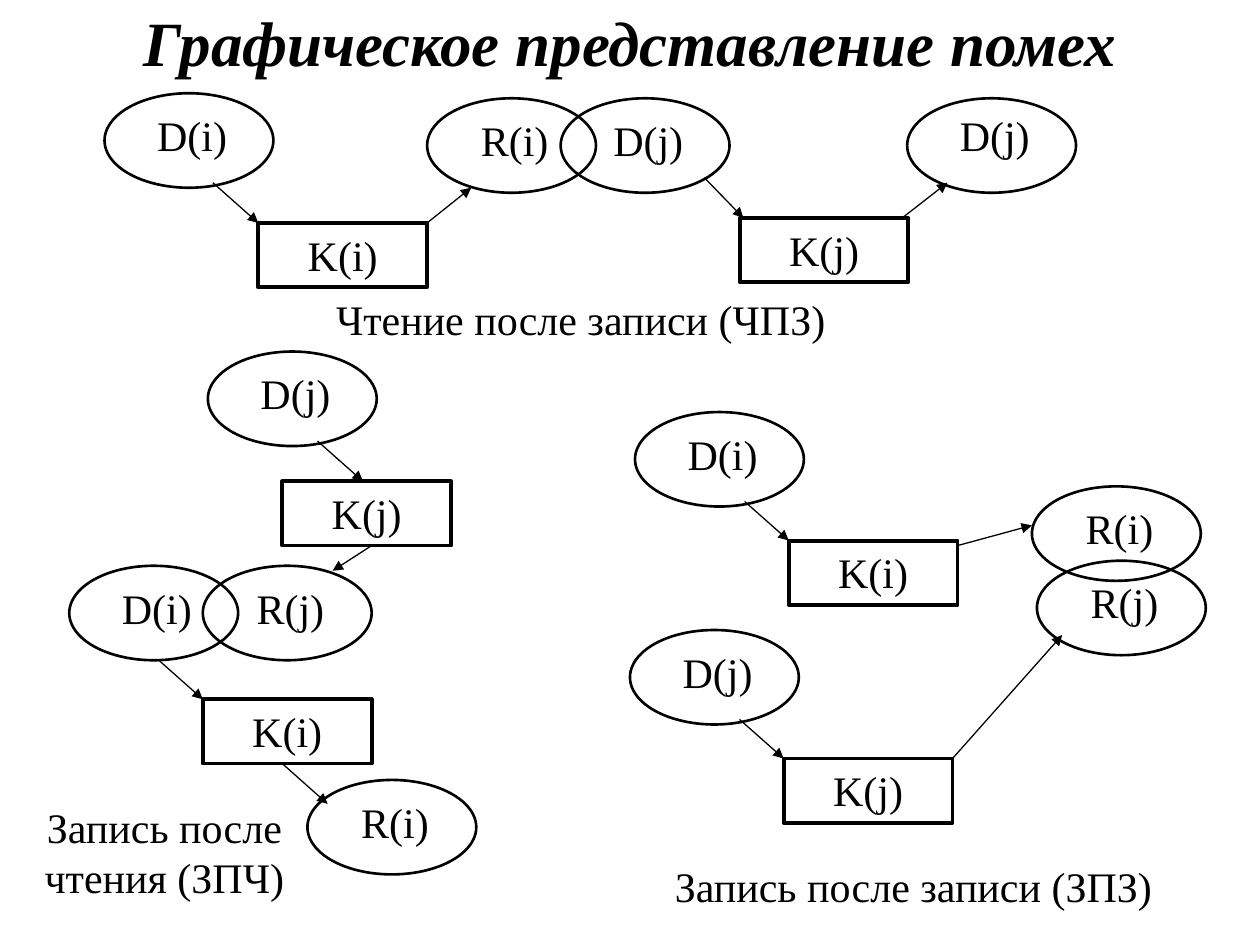
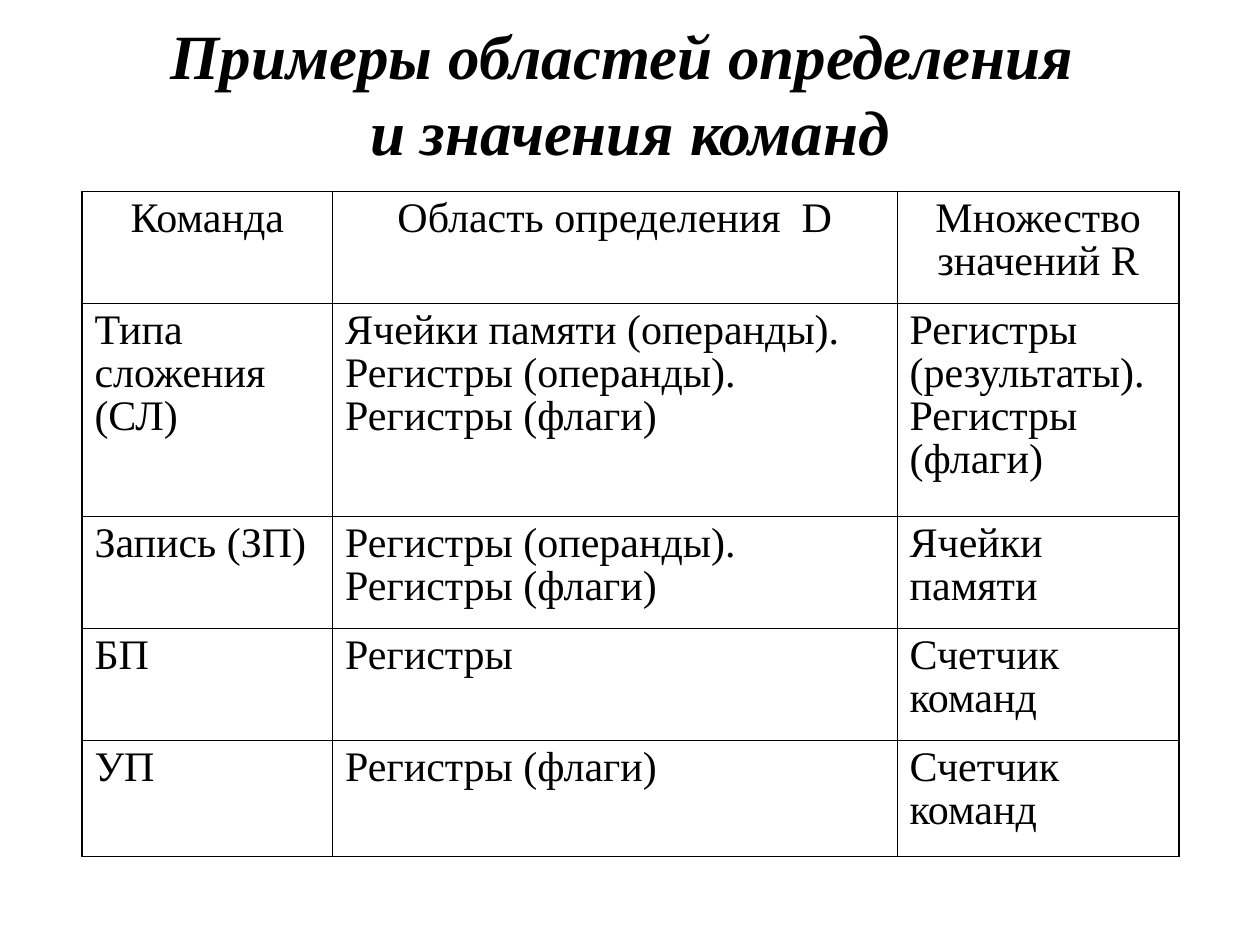
from lxml import etree
from pptx import Presentation
from pptx.dml.color import RGBColor
from pptx.enum.shapes import MSO_CONNECTOR, MSO_SHAPE
from pptx.enum.text import MSO_ANCHOR, PP_ALIGN
from pptx.oxml.ns import qn
from pptx.util import Inches, Pt

FONT = "Times New Roman"
INK = "000000"
PAPER = "FFFFFF"
NODE_W = 1.34
OVAL_H, BLOCK_H = 0.75, 0.51
LABEL_DX, LABEL_DY = 0.24, 0.08
OUTER, INNER = 1.08, 0.45


def color(value):
    return RGBColor.from_string(value)


# Shared text and drawing helpers
def write(tf, text, size=24, heading=False, align=PP_ALIGN.CENTER, spacing=None):
    p = tf.paragraphs[0]
    p.alignment = align
    p.line_spacing = spacing
    for i, line in enumerate(text.split("\n")):
        if i:
            p.add_line_break()
        r = p.add_run()
        r.text = line
        r.font.name = FONT
        r.font.size = Pt(size)
        r.font.bold = r.font.italic = heading
        r.font.color.rgb = color(INK)


def add_text(s, x, y, w, h, text, anchor=MSO_ANCHOR.TOP, **style):
    tf = s.shapes.add_textbox(Inches(x), Inches(y), Inches(w), Inches(h)).text_frame
    tf.word_wrap = True
    tf.vertical_anchor = anchor
    write(tf, text, **style)


def add_title(s, y, h, text):
    add_text(s, 0, y, 10, h, text, MSO_ANCHOR.MIDDLE, size=36, heading=True)


def add_outline(s, kind, x, y, h, width):
    sp = s.shapes.add_shape(kind, Inches(x), Inches(y), Inches(NODE_W), Inches(h))
    sp.shadow.inherit = False
    sp.fill.background()
    sp.line.color.rgb = color(INK)
    sp.line.width = Pt(width)
    return sp


def add_oval(s, x, y, text, label_dy=LABEL_DY):
    add_text(s, x + LABEL_DX, y + label_dy, 0.91, 0.55, text)
    add_outline(s, MSO_SHAPE.OVAL, x, y, OVAL_H, 1.5)


def add_block(s, x, y, text):
    tf = add_outline(s, MSO_SHAPE.RECTANGLE, x, y, BLOCK_H, 2.25).text_frame
    tf.vertical_anchor = MSO_ANCHOR.TOP
    write(tf, text)


def add_arrow(s, x1, y1, x2, y2):
    cn = s.shapes.add_connector(MSO_CONNECTOR.STRAIGHT, Inches(x1), Inches(y1),
                                Inches(x2), Inches(y2))
    cn.line.color.rgb = color(INK)
    cn.line.width = Pt(0.75)
    etree.SubElement(cn.line._get_or_add_ln(), qn("a:tailEnd"), type="triangle")
    etree.SubElement(cn._element.spPr, qn("a:effectLst"))


def draw_graph(s, x, y, ovals, blocks, arrows, caption):
    """Draw a hazard graph; all positions are relative to its corner x, y."""
    for dx, dy, *label in ovals:
        add_oval(s, x + dx, y + dy, *label)
    for dx, dy, text in blocks:
        add_block(s, x + dx, y + dy, text)
    for x1, y1, x2, y2 in arrows:
        add_arrow(s, x + x1, y + y1, x + x2, y + y2)
    dx, dy, w, h, text = caption
    add_text(s, x + dx, y + dy, w, h, text)


# The three hazards
def read_after_write(s, x, y):
    draw_graph(
        s, x, y,
        ovals=[(0, 0, "D(i)"), (2.56, 0.04, "R(i)"), (3.62, 0.04, "D(j)"),
               (6.37, 0.04, "D(j)", 0.04)],
        blocks=[(1.22, 1.03, "K(i)"), (5.04, 0.99, "K(j)")],
        arrows=[(0.86, 0.71, 1.22, 1.03), (2.56, 1.03, 2.91, 0.75),
                (4.76, 0.67, 5.07, 0.99), (6.33, 0.99, 6.69, 0.71)],
        caption=(1.18, 1.54, 5.2, 0.55, "Чтение после записи (ЧПЗ)"))


def write_after_read(s, x, y):
    draw_graph(
        s, x, y,
        ovals=[(1.45, 0, "D(j)"), (0.35, 1.7, "D(i)"), (1.41, 1.7, "R(j)"),
               (2.24, 3.4, "R(i)")],
        blocks=[(2.04, 1.03, "K(j)"), (1.41, 2.76, "K(i)")],
        arrows=[(2.32, 0.71, 2.68, 1.03), (2.75, 1.54, 2.44, 1.74),
                (1.06, 2.45, 1.41, 2.76), (2.04, 3.27, 2.4, 3.59)],
        caption=(0, 3.52, 2.21, 0.98, "Запись после чтения (ЗПЧ)"))


def write_after_write(s, x, y):
    draw_graph(
        s, x, y,
        ovals=[(0.39, 0, "D(i)"), (3.54, 0.59, "R(i)"), (0.35, 1.73, "D(j)"),
               (3.58, 1.18, "R(j)")],
        blocks=[(1.61, 1.02, "K(i)"), (1.57, 2.75, "K(j)")],
        arrows=[(1.26, 0.71, 1.61, 1.02), (2.95, 1.06, 3.54, 0.9),
                (1.22, 2.44, 1.57, 2.75), (2.91, 2.75, 3.78, 1.77)],
        caption=(0, 3.51, 5.2, 0.55, "Запись после записи (ЗПЗ)"))


# Table of commands
COMMANDS = [
    ("Команда", "Область определения  D", "Множество значений R"),
    ("Типа сложения (СЛ)",
     "Ячейки памяти (операнды). Регистры (операнды). Регистры (флаги)",
     "Регистры (результаты). Регистры (флаги)"),
    ("Запись (ЗП)", "Регистры (операнды). Регистры (флаги)", "Ячейки памяти"),
    ("БП", "Регистры", "Счетчик команд"),
    ("УП", "Регистры (флаги)", "Счетчик команд"),
]
COL_WIDTHS = [1.99, 4.48, 2.24]
ROW_HEIGHTS = [0.89, 1.69, 0.89, 0.89, 0.92]


def set_borders(cell, **widths):
    tcPr = cell._tc.get_or_add_tcPr()
    for i, (side, width) in enumerate(widths.items()):
        ln = etree.Element(qn("a:" + side), w=str(Pt(width)))
        fill = etree.SubElement(ln, qn("a:solidFill"))
        etree.SubElement(fill, qn("a:srgbClr"), val=INK)
        tcPr.insert(i, ln)


def command_table(s, x, y):
    n_rows, n_cols = len(COMMANDS), len(COL_WIDTHS)
    table = s.shapes.add_table(n_rows, n_cols, Inches(x), Inches(y),
                               Inches(sum(COL_WIDTHS)), Inches(sum(ROW_HEIGHTS))).table
    table.first_row = table.horz_banding = False
    for col, width in zip(table.columns, COL_WIDTHS):
        col.width = Inches(width)
    for i, (row, height) in enumerate(zip(table.rows, ROW_HEIGHTS)):
        row.height = Inches(height)
        for j, cell in enumerate(row.cells):
            cell.fill.background()
            write(cell.text_frame, COMMANDS[i][j], spacing=0.93,
                  align=PP_ALIGN.LEFT if i else PP_ALIGN.CENTER)
            set_borders(cell,
                        lnL=INNER if j else OUTER,
                        lnR=OUTER if j == n_cols - 1 else INNER,
                        lnT=INNER if i else OUTER,
                        lnB=OUTER if i == n_rows - 1 else INNER)


# Slides
def new_slide(prs):
    s = prs.slides.add_slide(prs.slide_layouts[6])
    s.background.fill.solid()
    s.background.fill.fore_color.rgb = color(PAPER)
    return s


def hazards_slide(prs):
    s = new_slide(prs)
    add_title(s, 0.05, 0.55, "Графическое представление помех")
    read_after_write(s, 0.83, 0.74)
    write_after_read(s, 0.2, 2.79)
    write_after_write(s, 4.65, 3.27)


def commands_slide(prs):
    s = new_slide(prs)
    command_table(s, 0.65, 1.52)
    add_title(s, 0.22, 1.02, "Примеры областей определения \nи значения команд")


def main():
    prs = Presentation()
    prs.slide_width, prs.slide_height = Inches(10), Inches(7.5)
    hazards_slide(prs)
    commands_slide(prs)
    prs.save("out.pptx")


if __name__ == "__main__":
    main()
